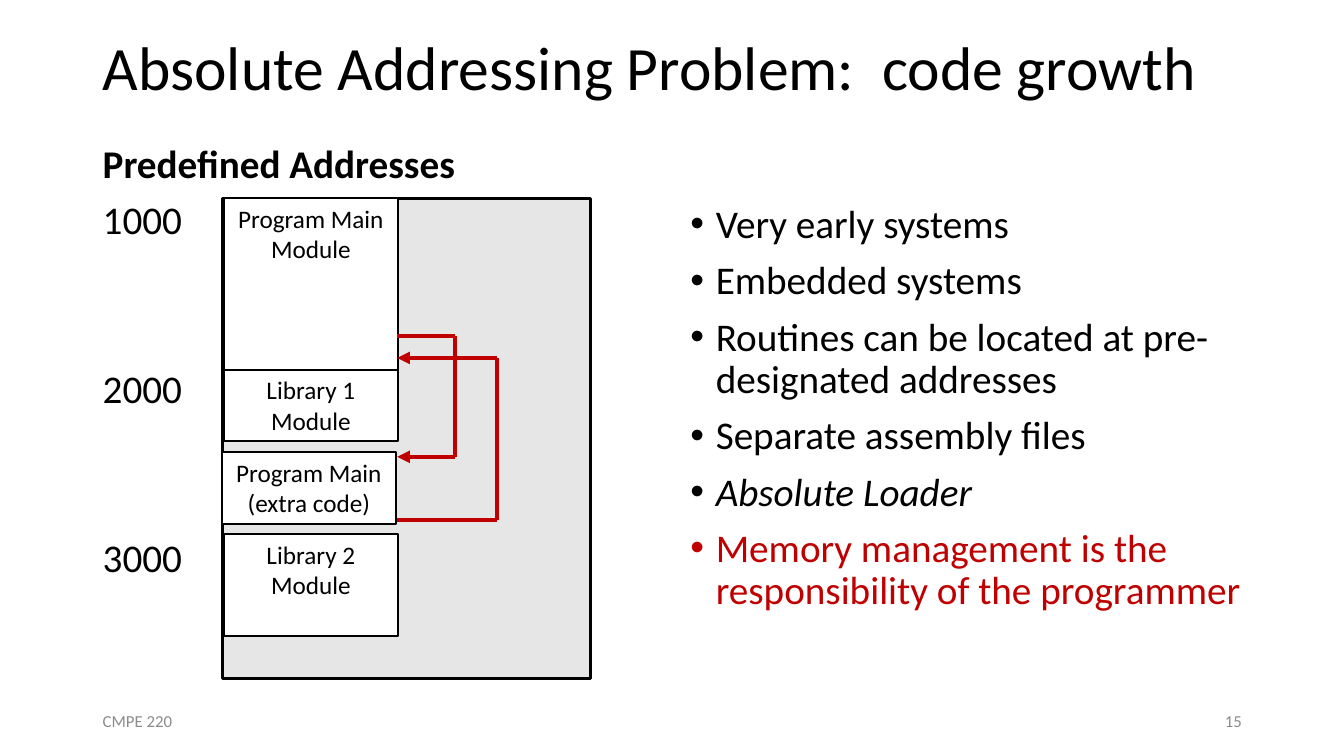
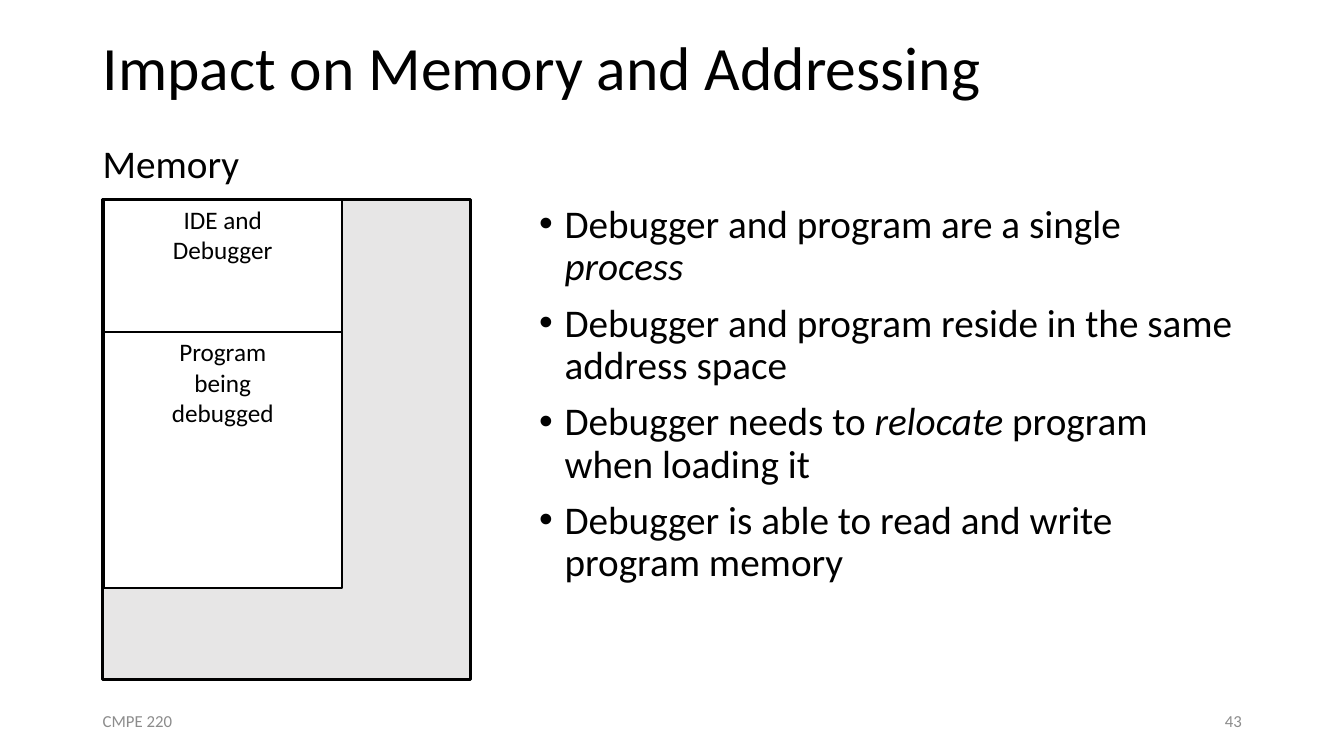
from dataclasses import dataclass

from lxml.etree import SubElement
from pptx import Presentation
from pptx.dml.color import RGBColor
from pptx.enum.shapes import MSO_CONNECTOR, MSO_SHAPE
from pptx.enum.text import MSO_ANCHOR, PP_ALIGN
from pptx.oxml.ns import qn
from pptx.util import Cm, Pt


@dataclass(frozen=True)
class Theme:
    font: str = "Calibri"
    ink: RGBColor = RGBColor(0x00, 0x00, 0x00)
    paper: RGBColor = RGBColor(0xFF, 0xFF, 0xFF)
    memory: RGBColor = RGBColor(0xE7, 0xE6, 0xE6)
    accent: RGBColor = RGBColor(0xC0, 0x00, 0x00)
    muted: RGBColor = RGBColor(0x8C, 0x8C, 0x8C)
    title: int = 44
    body: int = 28
    block: int = 18
    footer: int = 12
    frame_line: float = 2.25
    block_line: float = 1.5
    jump_line: float = 3
    left: float = 2.34
    right: float = 31.55


THEME = Theme()
BODY_FORMAT = {"line_spacing": 0.9}


# Text
def set_format(obj, values):
    for name, value in values.items():
        setattr(obj, name, value)


def add_bullet(p):
    pPr = p._p.get_or_add_pPr()
    pPr.set("marL", str(Cm(0.64)))
    pPr.set("indent", str(-Cm(0.64)))
    SubElement(pPr, qn("a:buFont"), typeface="Arial")
    SubElement(pPr, qn("a:buChar"), char="•")


def fill_text(tf, paragraphs, size, color=THEME.ink, bullets=False, **p_format):
    """Each paragraph is a string or a list of (text, font format) runs."""
    tf.word_wrap = True
    for i, runs in enumerate(paragraphs):
        p = tf.paragraphs[0] if i == 0 else tf.add_paragraph()
        if bullets:
            add_bullet(p)
        set_format(p, p_format)
        if bullets and i:
            p.space_before = Pt(10)
        for text, r_format in [(runs, {})] if isinstance(runs, str) else runs:
            r = p.add_run()
            r.text = text
            values = {"name": THEME.font, "size": Pt(size), **r_format}
            r.font.color.rgb = values.pop("color", color)
            set_format(r.font, values)


def add_text(s, box, paragraphs, size, anchor=MSO_ANCHOR.TOP, **options):
    tf = s.shapes.add_textbox(*map(Cm, box)).text_frame
    tf.vertical_anchor = anchor
    fill_text(tf, paragraphs, size, **options)


# Shared slide parts
def add_slide(prs, title, number):
    s = prs.slides.add_slide(prs.slide_layouts[6])
    width = THEME.right - THEME.left
    add_text(s, (THEME.left, 0.03, width, 3.5), [title], THEME.title,
             MSO_ANCHOR.MIDDLE, **BODY_FORMAT)
    footer_width = 7.62
    for x, text, align in (
        (THEME.left, "CMPE 220", PP_ALIGN.LEFT),
        (THEME.right - footer_width, number, PP_ALIGN.RIGHT),
    ):
        add_text(s, (x, 17.65, footer_width, 1.02), [text], THEME.footer,
                 MSO_ANCHOR.MIDDLE, color=THEME.muted, alignment=align)
    return s


def add_heading(s, text, bold=False):
    add_text(s, (THEME.left, 3.53, 13.5, 1.4), [[(text, {"bold": bold})]],
             THEME.body, **BODY_FORMAT)


def add_bullets(s, left, items):
    add_text(s, (left, 5.03, THEME.right - left, 12.09), items, THEME.body,
             bullets=True, **BODY_FORMAT)


# Memory diagram
def add_rect(s, box, fill, line):
    sp = s.shapes.add_shape(MSO_SHAPE.RECTANGLE, *map(Cm, box))
    sp.shadow.inherit = False
    sp.fill.solid()
    sp.fill.fore_color.rgb = fill
    sp.line.color.rgb = THEME.ink
    sp.line.width = Pt(line)
    return sp


def add_memory(s, left, top, blocks):
    """Draw the memory frame, then its blocks as (box, lines of text)."""
    add_rect(s, (left, top, 9.27, 12.09), THEME.memory, THEME.frame_line)
    for box, lines in blocks:
        sp = add_rect(s, box, THEME.paper, THEME.block_line)
        sp.text_frame.vertical_anchor = MSO_ANCHOR.TOP
        fill_text(sp.text_frame, lines, THEME.block, alignment=PP_ALIGN.CENTER)


def add_line(s, start, end, arrow=False):
    c = s.shapes.add_connector(MSO_CONNECTOR.STRAIGHT, *map(Cm, start + end))
    c.line.color.rgb = THEME.accent
    c.line.width = Pt(THEME.jump_line)
    if arrow:
        SubElement(c.line._get_or_add_ln(), qn("a:tailEnd"), type="triangle")
    SubElement(c._element.spPr, qn("a:effectLst"))


def add_jump(s, edge, turn, y_from, y_to):
    """Go out from the block edge, along, and back with an arrowhead."""
    points = [(edge, y_from), (turn, y_from), (turn, y_to), (edge, y_to)]
    for i, (start, end) in enumerate(zip(points, points[1:])):
        add_line(s, start, end, arrow=i == 2)


# Slides
def build_code_growth(prs):
    s = add_slide(prs, "Absolute Addressing Problem:  code growth", "15")
    add_heading(s, "Predefined Addresses", bold=True)
    for i, address in enumerate(("1000", "2000", "3000")):
        add_text(s, (THEME.left, 4.94 + 4.26 * i, 3, 1.4), [address],
                 THEME.body, **BODY_FORMAT)
    x, width = 5.64, 4.39
    add_memory(s, 5.61, 5, [
        ((x, 5, width, 4.88), ["Program Main Module"]),
        ((x, 9.32, width, 1.8), ["Library 1 Module"]),
        ((x, 13.46, width, 2.57), ["Library 2 Module"]),
        ((x - 0.05, 11.4, width, 1.8), ["Program Main (extra code)"]),
    ])
    add_jump(s, 10.01, 11.46, 8.46, 11.51)
    add_jump(s, 10.01, 12.52, 13.11, 9.02)
    add_bullets(s, 17.15, [
        "Very early systems",
        "Embedded systems",
        "Routines can be located at pre-designated addresses",
        "Separate assembly files",
        [("Absolute Loader", {"italic": True})],
        [("Memory management is the responsibility of the programmer",
          {"color": THEME.accent})],
    ])


def build_memory_impact(prs):
    s = add_slide(prs, "Impact on Memory and Addressing", "43")
    add_heading(s, "Memory")
    x, width = 2.62, 5.99
    add_memory(s, 2.59, 5.03, [
        ((x, 5.03, width, 3.33), ["IDE and", "Debugger"]),
        ((x, 8.36, width, 6.45), ["Program", "being", "debugged"]),
    ])
    add_bullets(s, 13.34, [
        [("Debugger and program are a single ", {}),
         ("process", {"italic": True})],
        "Debugger and program reside in the same address space",
        [("Debugger needs to ", {}), ("relocate", {"italic": True}),
         (" program when loading it", {})],
        "Debugger is able to read and write program memory",
    ])


def main():
    prs = Presentation()
    set_format(prs, {"slide_width": Cm(33.87), "slide_height": Cm(19.05)})
    build_code_growth(prs)
    build_memory_impact(prs)
    prs.save("out.pptx")


if __name__ == "__main__":
    main()
